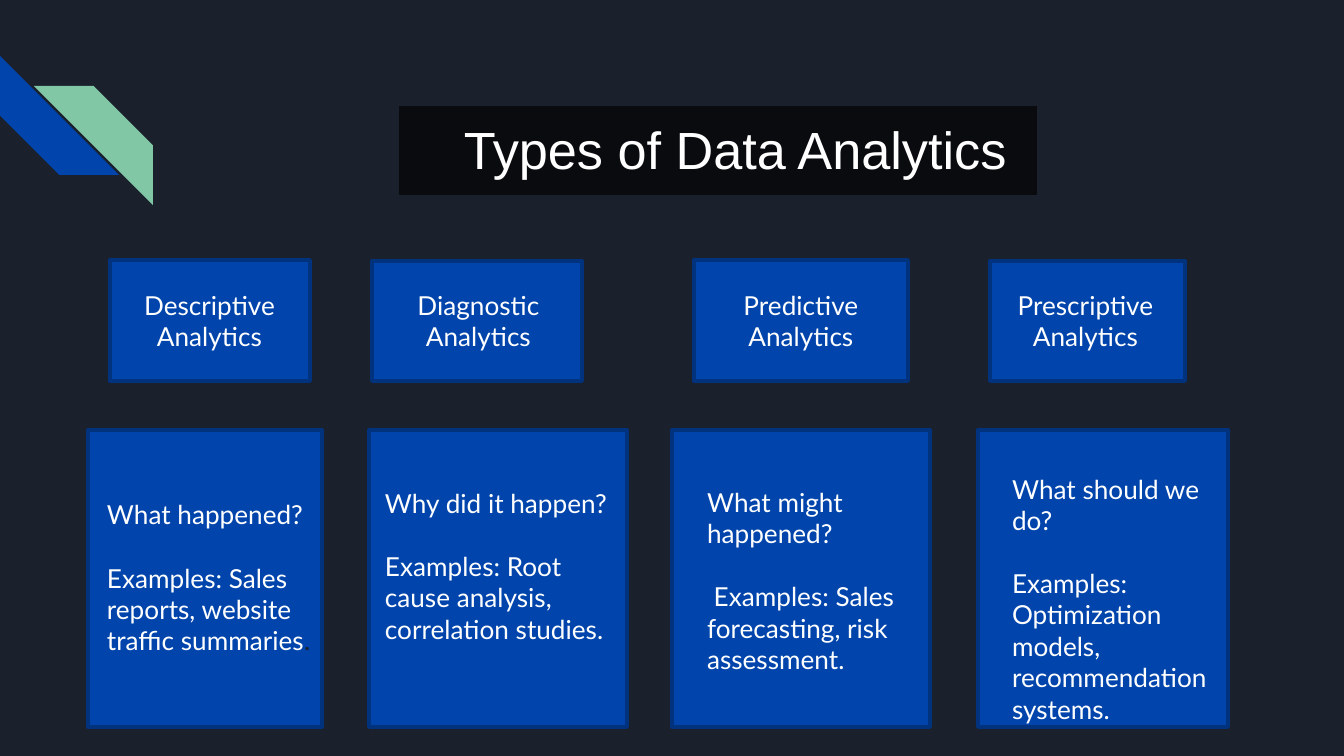
from pptx import Presentation
from pptx.dml.color import RGBColor
from pptx.enum.shapes import MSO_SHAPE as Shape
from pptx.enum.text import MSO_ANCHOR as Anchor, PP_ALIGN as Align
from pptx.util import Emu, Pt

NAVY, BLUE, EDGE, GREEN = "1B212C", "0145AC", "00327D", "82C7A5"
BLACK, WHITE = "090B0F", "FFFFFF"
EMU_PER_PX = 914400 / 134.4
LINE_GAP = 17  # points, one text line

# Boxes are (left, top, width, height) in px; insets are (left, bottom) in px
TITLE = "Types of Data Analytics"
TITLE_BAR, TITLE_BOX = (397, 104, 642, 93), (251, 110, 968, 77)
COLUMNS = [
    {"label": "Descriptive Analytics",
     "head": (110, 260, 200, 121), "label_box": (128, 282, 163, 77),
     "card": (88, 430, 234, 297), "body_box": (94, 476, 231, 203),
     "inset": (13, 7), "anchor": Anchor.MIDDLE,
     "body": [[("What happened?", WHITE)],
              [("Examples: Sales reports, website traffic summaries", WHITE),
               (".", NAVY)]]},
    {"label": "Diagnostic Analytics",
     "head": (372, 261, 210, 120), "label_box": (396, 282, 165, 77),
     "card": (369, 430, 258, 297), "body_box": (372, 480, 258, 203),
     "inset": (13, 38), "anchor": Anchor.MIDDLE,
     "body": [[("Why did it happen?", WHITE)],
              [("Examples: Root cause analysis, correlation studies.", WHITE)]]},
    {"label": "Predictive Analytics",
     "head": (694, 260, 214, 121), "label_box": (704, 282, 194, 77),
     "card": (672, 430, 258, 297), "body_box": (694, 478, 226, 245),
     "inset": (13, 47), "anchor": Anchor.MIDDLE,
     "body": [[("What might happened?", WHITE)],
              [(" Examples: Sales forecasting, risk assessment.", WHITE)]]},
    {"label": "Prescriptive Analytics",
     "head": (990, 261, 195, 120), "label_box": (1001, 282, 169, 77),
     "card": (978, 430, 250, 297), "body_box": (931, 466, 297, 267),
     "inset": (81, 7), "anchor": Anchor.TOP,
     "body": [[("What should we do?", WHITE)],
              [("Examples: Optimization models, recommendation systems.", WHITE)]]},
]


def px(value):
    return Emu(round(value * EMU_PER_PX))


def place(box):
    return [px(value) for value in box]


def color(value):
    return RGBColor.from_string(value)


def add_block(slide, kind, box, fill, line=None):
    shape = slide.shapes.add_shape(kind, *place(box))
    shape.shadow.inherit = False
    shape.fill.solid()
    shape.fill.fore_color.rgb = color(fill)
    if line:
        shape.line.color.rgb = color(line)
        shape.line.width = Pt(2)
    else:
        shape.line.fill.background()
    return shape


def write(frame, paragraphs, size, font, align=Align.LEFT, anchor=Anchor.TOP,
          inset=(13, 7)):
    frame.word_wrap = True
    frame.vertical_anchor = anchor
    frame.margin_left, frame.margin_bottom = place(inset)
    frame.margin_right, frame.margin_top = px(13), px(7)
    for index, runs in enumerate(paragraphs):
        paragraph = frame.add_paragraph() if index else frame.paragraphs[0]
        paragraph.alignment = align
        paragraph.space_before = Pt(LINE_GAP if index else 0)
        for text, run_color in runs:
            run = paragraph.add_run()
            run.text = text
            run.font.size = Pt(size)
            run.font.name = font
            run.font.color.rgb = color(run_color)


presentation = Presentation()
presentation.slide_width, presentation.slide_height = px(1344), px(756)
slide = presentation.slides.add_slide(presentation.slide_layouts[5])
slide.background.fill.solid()
slide.background.fill.fore_color.rgb = color(NAVY)

# Corner stripes
blue_stripe = add_block(slide, Shape.DIAGONAL_STRIPE, (0, 56, 119, 119), BLUE)
blue_stripe.rotation = 270
green_stripe = add_block(slide, Shape.DIAGONAL_STRIPE, (34, 86, 119, 119), GREEN)
green_stripe._element.spPr.xfrm.set("flipH", "1")

# Title, moved in front of its bar
add_block(slide, Shape.RECTANGLE, TITLE_BAR, BLACK, NAVY)
title = slide.shapes.title
title.left, title.top, title.width, title.height = place(TITLE_BOX)
write(title.text_frame, [[(TITLE, WHITE)]], 28, "Arial", Align.CENTER)
slide.shapes._spTree.append(title._element)

# Columns: heading above, question and examples below
for column in COLUMNS:
    add_block(slide, Shape.RECTANGLE, column["head"], BLUE, EDGE)
    label = slide.shapes.add_textbox(*place(column["label_box"]))
    write(label.text_frame, [[(column["label"], WHITE)]], 14, "Lato", Align.CENTER)
    add_block(slide, Shape.RECTANGLE, column["card"], BLUE, EDGE)
    body = slide.shapes.add_textbox(*place(column["body_box"]))
    write(body.text_frame, column["body"], 14, "Lato",
          anchor=column["anchor"], inset=column["inset"])

presentation.save("out.pptx")
